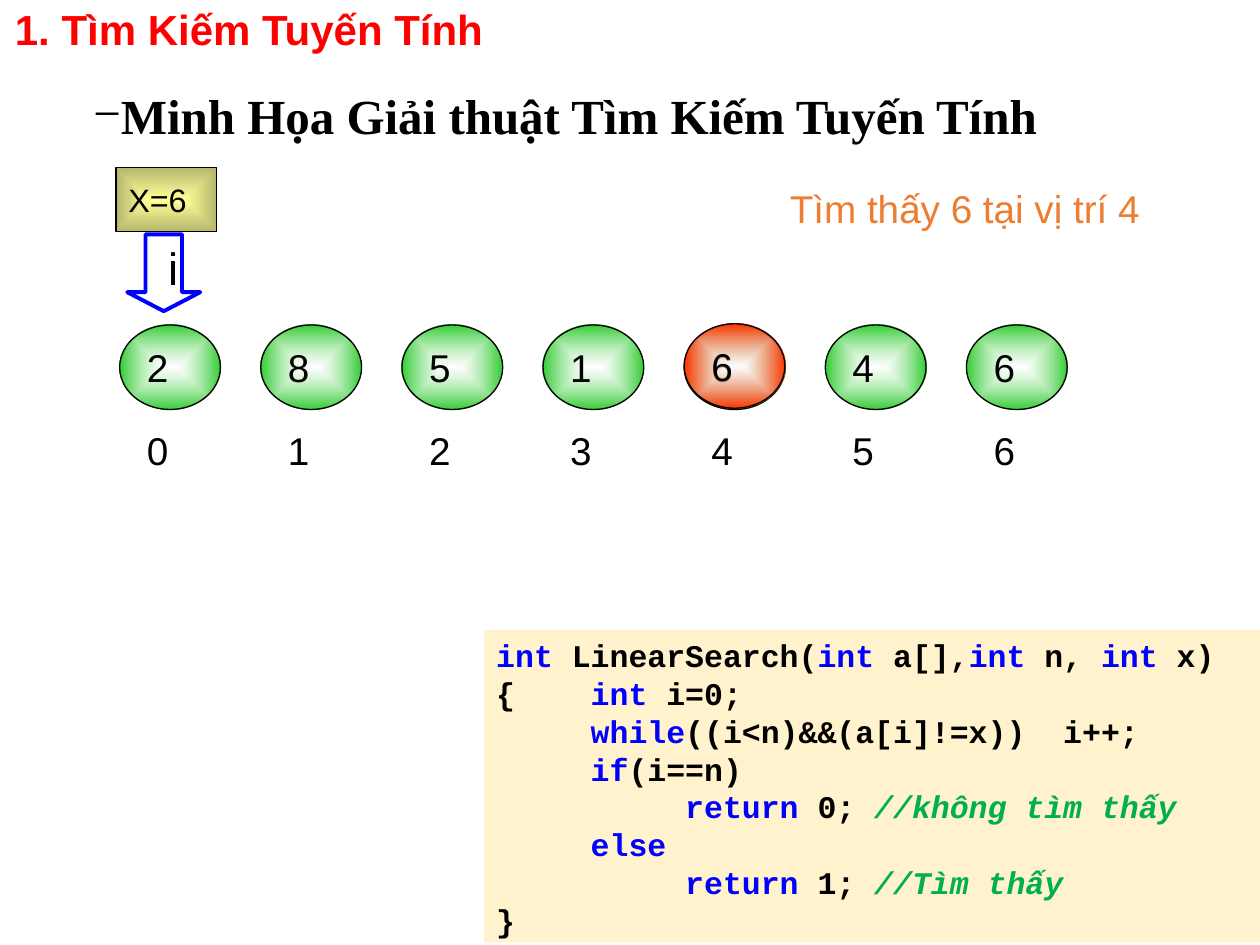
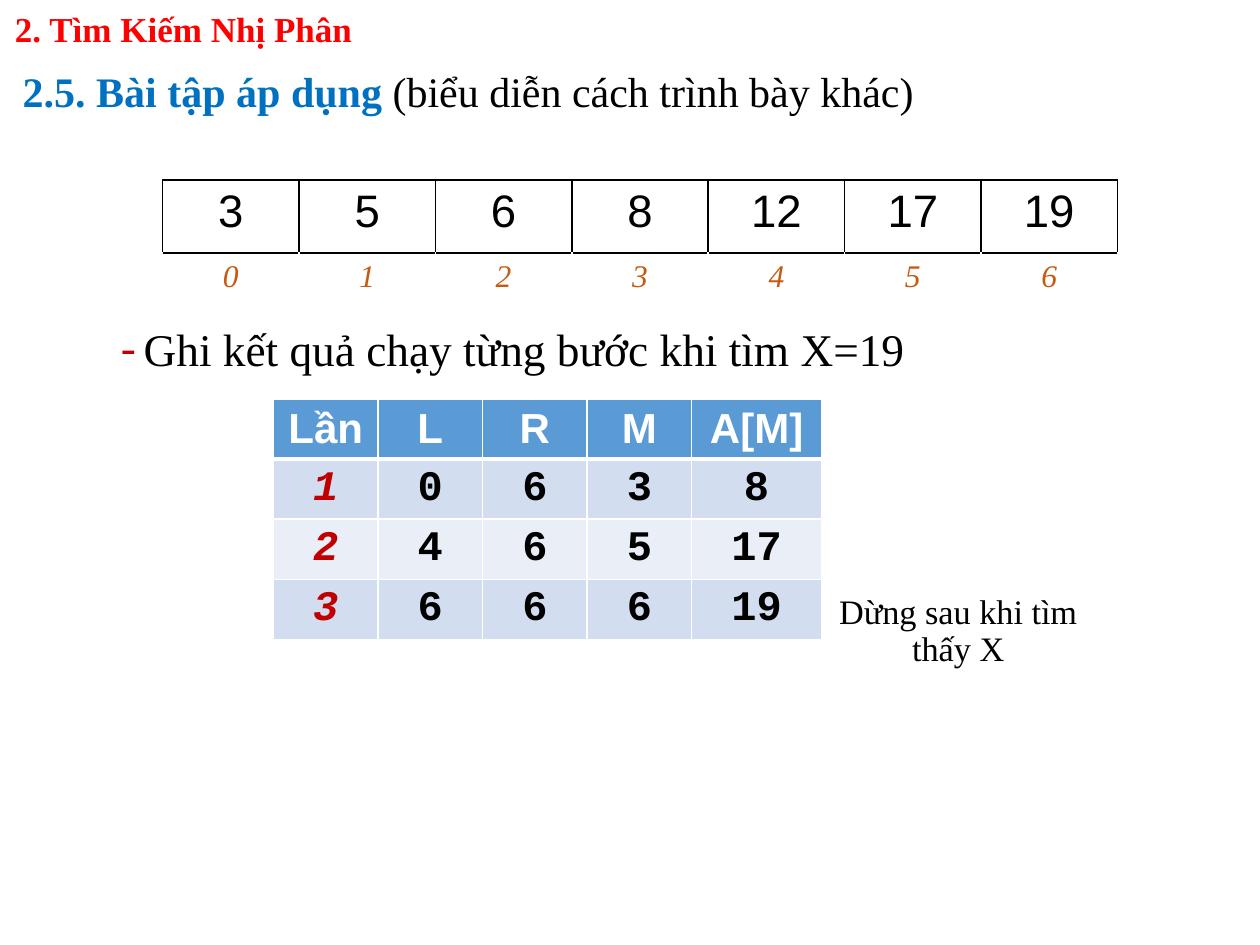
from dataclasses import dataclass

from lxml import etree
from pptx import Presentation
from pptx.dml.color import RGBColor
from pptx.enum.shapes import MSO_SHAPE
from pptx.enum.text import MSO_ANCHOR, MSO_AUTO_SIZE, PP_ALIGN
from pptx.oxml import parse_xml
from pptx.oxml.ns import nsdecls, qn
from pptx.util import Inches, Pt

ELLIPSE, RECTANGLE, DOWN_ARROW = MSO_SHAPE.OVAL, MSO_SHAPE.RECTANGLE, MSO_SHAPE.DOWN_ARROW
LEFT, CENTER, JUSTIFY = PP_ALIGN.LEFT, PP_ALIGN.CENTER, PP_ALIGN.JUSTIFY
TOP, MIDDLE = MSO_ANCHOR.TOP, MSO_ANCHOR.MIDDLE

BLACK = RGBColor(0x00, 0x00, 0x00)
WHITE = RGBColor(0xFF, 0xFF, 0xFF)
RED = RGBColor(0xFF, 0x00, 0x00)
DARK_RED = RGBColor(0xC0, 0x00, 0x00)
ORANGE = RGBColor(0xED, 0x7D, 0x31)
RUST = RGBColor(0xC5, 0x5A, 0x11)
KEYWORD_BLUE = RGBColor(0x00, 0x00, 0xFF)
TITLE_BLUE = RGBColor(0x00, 0x70, 0xC0)
COMMENT_GREEN = RGBColor(0x00, 0xB0, 0x50)
NODE_GREEN = RGBColor(0x33, 0xCC, 0x33)
FOUND_RED = RGBColor(0xFF, 0x33, 0x00)
KEY_YELLOW = RGBColor(0xFF, 0xFF, 0x99)
KEY_OLIVE = RGBColor(0xB6, 0xB6, 0x6D)
CODE_CREAM = RGBColor(0xFF, 0xF2, 0xCC)
HEADER_BLUE = RGBColor(0x5B, 0x9B, 0xD5)
BANDS = (RGBColor(0xD2, 0xDE, 0xEF), RGBColor(0xEA, 0xEF, 0xF7))

SANS, SERIF, MONO = "Arial", "Times New Roman", "Courier New"

# The slide is a grid of 100 columns by 75 rows.
SLIDE_WIDTH, SLIDE_HEIGHT = Inches(10), Inches(7.5)
COLUMN, ROW = SLIDE_WIDTH // 100, SLIDE_HEIGHT // 75
NODE_LEFT, NODE_STEP, NODE_WIDTH, NODE_HEIGHT = 9.5, 11.2, 8, 6.7
TAB_STEP, TAB_COUNT = 7.5, 6


@dataclass(frozen=True)
class Box:
    """A place on the slide grid."""
    column: float
    row: float
    columns: float
    rows: float

    def lengths(self) -> tuple[int, int, int, int]:
        return (round(self.column * COLUMN), round(self.row * ROW),
                round(self.columns * COLUMN), round(self.rows * ROW))


@dataclass(frozen=True)
class Style:
    size: float
    font: str = SANS
    color: RGBColor = BLACK
    bold: bool = False
    italic: bool = False


@dataclass(frozen=True)
class Piece:
    text: str
    style: Style


NODE_TEXT = Style(22.1)
CODE = Style(18, MONO, bold=True)
KEYWORD = Style(18, MONO, KEYWORD_BLUE, bold=True)
COMMENT = Style(18, MONO, COMMENT_GREEN, bold=True, italic=True)

NODE_VALUES = (2, 8, 5, 1, 6, 4, 6)
FOUND_POSITION = 4
CODE_LINES = (
    (Piece("int", KEYWORD), Piece(" LinearSearch(", CODE), Piece("int", KEYWORD),
     Piece(" a[],", CODE), Piece("int", KEYWORD), Piece(" n, ", CODE),
     Piece("int", KEYWORD), Piece(" x)", CODE)),
    (Piece("{\t", CODE), Piece("int", KEYWORD), Piece(" i=0;", CODE)),
    (Piece("\twhile", KEYWORD), Piece("((i<n)&&(a[i]!=x)) \ti++;", CODE)),
    (Piece("\tif", KEYWORD), Piece("(i==n)", CODE)),
    (Piece("\t\treturn", KEYWORD), Piece(" 0; ", CODE), Piece("//không tìm thấy", COMMENT)),
    (Piece("\telse", KEYWORD),),
    (Piece("\t\treturn", KEYWORD), Piece(" 1; ", CODE), Piece("//Tìm thấy", COMMENT)),
    (Piece("}", CODE),),
)
SORTED_VALUES = (3, 5, 6, 8, 12, 17, 19)
STEPS = (
    ("Lần", "L", "R", "M", "A[M]"),
    (1, 0, 6, 3, 8),
    (2, 4, 6, 5, 17),
    (3, 6, 6, 6, 19),
)


def write(paragraph, *pieces: Piece, align=LEFT, spacing=None, before=None) -> None:
    paragraph.alignment = align
    if spacing is not None:
        paragraph.line_spacing = spacing
    if before is not None:
        paragraph.space_before = Pt(before)
    for piece in pieces:
        run = paragraph.add_run()
        run.text = piece.text
        font = run.font
        font.size, font.name = Pt(piece.style.size), piece.style.font
        font.bold, font.italic = piece.style.bold, piece.style.italic
        font.color.rgb = piece.style.color


def prepare(text_frame, anchor=TOP, wrap: bool = True):
    """Fix the frame's size rules and return its first paragraph."""
    text_frame.auto_size = MSO_AUTO_SIZE.NONE
    text_frame.word_wrap = wrap
    text_frame.vertical_anchor = anchor
    return text_frame.paragraphs[0]


def place(shape, box: Box) -> None:
    shape.left, shape.top, shape.width, shape.height = box.lengths()


def set_bullet(paragraph, character: str, hang: float, color: RGBColor) -> None:
    properties = paragraph._p.get_or_add_pPr()
    properties.set("marL", str(Inches(hang)))
    properties.set("indent", str(-Inches(hang)))
    bullet_color = etree.SubElement(properties, qn("a:buClr"))
    etree.SubElement(bullet_color, qn("a:srgbClr"), val=str(color))
    etree.SubElement(properties, qn("a:buFont"), typeface=SERIF)
    etree.SubElement(properties, qn("a:buChar"), char=character)


def set_tabs(paragraph) -> None:
    tabs = etree.SubElement(paragraph._p.get_or_add_pPr(), qn("a:tabLst"))
    for number in range(1, TAB_COUNT + 1):
        position = round(number * TAB_STEP * COLUMN)
        etree.SubElement(tabs, qn("a:tab"), pos=str(position), algn="l")


def fill_from_center(shape, center: RGBColor, edge: RGBColor, opacity: int = 100) -> None:
    shape.fill.solid()
    properties = shape._element.spPr
    gradient = parse_xml(
        f'<a:gradFill {nsdecls("a")} rotWithShape="1"><a:gsLst>'
        f'<a:gs pos="0"><a:srgbClr val="{center}"><a:alpha val="{opacity * 1000}"/></a:srgbClr></a:gs>'
        f'<a:gs pos="100000"><a:srgbClr val="{edge}"/></a:gs></a:gsLst>'
        '<a:path path="shape"><a:fillToRect l="50000" t="50000" r="50000" b="50000"/></a:path>'
        '</a:gradFill>')
    properties.replace(properties.find(qn("a:solidFill")), gradient)


def add_figure(slide, kind, box: Box, line: RGBColor | None = None, width: float = 0.75):
    """Add an unfilled preset shape without a shadow."""
    shape = slide.shapes.add_shape(kind, *box.lengths())
    shape.shadow.inherit = False
    shape.fill.background()
    if line is None:
        shape.line.fill.background()
    else:
        shape.line.color.rgb = line
        shape.line.width = Pt(width)
    return shape


def add_node(slide, position: int, row: float, text: str, color: RGBColor | None = None) -> None:
    box = Box(NODE_LEFT + position * NODE_STEP, row, NODE_WIDTH, NODE_HEIGHT)
    node = add_figure(slide, ELLIPSE, box, BLACK if color else None)
    if color:
        fill_from_center(node, WHITE, color, 60)
    write(prepare(node.text_frame), Piece(text, NODE_TEXT))


def add_label(slide, box: Box, piece: Piece, anchor=TOP, **layout) -> None:
    label = slide.shapes.add_textbox(*box.lengths())
    write(prepare(label.text_frame, anchor), piece, **layout)


def add_section(slide, text: str, size: float, font: str) -> None:
    add_label(slide, Box(0.2, 0, 92.9, 5), Piece(text, Style(size, font, RED, bold=True)),
              MIDDLE, spacing=0.9)


def add_grid(slide, box: Box, row_heights: tuple, column_widths: tuple):
    table = slide.shapes.add_table(len(row_heights), len(column_widths), *box.lengths()).table
    table.first_row = table.horz_banding = False
    for row, height in zip(table.rows, row_heights):
        row.height = round(height * ROW)
    for column, width in zip(table.columns, column_widths):
        column.width = round(width * COLUMN)
    return table


def format_cell(cell, piece: Piece, borders: dict, line: RGBColor, fill: RGBColor | None = None) -> None:
    properties = cell._tc.get_or_add_tcPr()
    for side in "LRTB":
        if side in borders:
            border = etree.SubElement(properties, qn(f"a:ln{side}"), w=str(Pt(borders[side])))
            solid = etree.SubElement(border, qn("a:solidFill"))
            etree.SubElement(solid, qn("a:srgbClr"), val=str(line))
    if fill is None:
        cell.fill.background()
    else:
        cell.fill.solid()
        cell.fill.fore_color.rgb = fill
    write(cell.text_frame.paragraphs[0], piece, align=CENTER)


def add_sorted_array(slide) -> None:
    count = len(SORTED_VALUES)
    table = add_grid(slide, Box(12.9, 14.3, 75.8, 9.7), (5.8, 3.9), (75.8 / count,) * count)
    for position, value in enumerate(SORTED_VALUES):
        format_cell(table.cell(0, position), Piece(str(value), Style(26)),
                    dict.fromkeys("LRTB", 1), BLACK)
        format_cell(table.cell(1, position),
                    Piece(str(position), Style(18, SERIF, RUST, italic=True)), {"T": 1}, BLACK)


def add_steps(slide) -> None:
    table = add_grid(slide, Box(21.7, 31.7, 43.5, 16.4), (4.1,) * len(STEPS), (8.3,) * 4 + (10.3,))
    for row, values in enumerate(STEPS):
        borders = {"L": 1, "R": 1, "T": 3 if row == 1 else 1, "B": 3 if row == 0 else 1}
        for column, value in enumerate(values):
            if row == 0:
                style, fill = Style(24, SANS, WHITE, bold=True), HEADER_BLUE
            else:
                first = column == 0
                style = Style(24, MONO, DARK_RED if first else BLACK, bold=True, italic=first)
                fill = BANDS[(row - 1) % 2]
            format_cell(table.cell(row, column), Piece(str(value), style), borders, WHITE, fill)


def add_code(slide) -> None:
    panel = add_figure(slide, RECTANGLE, Box(38.4, 50, 61.6, 24.8))
    panel.fill.solid()
    panel.fill.fore_color.rgb = CODE_CREAM
    paragraph = prepare(panel.text_frame)
    for number, pieces in enumerate(CODE_LINES):
        if number:
            paragraph = panel.text_frame.add_paragraph()
        write(paragraph, *pieces)
        set_tabs(paragraph)


def build_linear_search(presentation) -> None:
    slide = presentation.slides.add_slide(presentation.slide_layouts[5])
    title = slide.shapes.title
    place(title, Box(6.4, 5, 92.9, 7.7))
    paragraph = prepare(title.text_frame, MIDDLE)
    write(paragraph, Piece("Minh Họa Giải thuật Tìm Kiếm Tuyến Tính", Style(28, SERIF, bold=True)),
          align=JUSTIFY, spacing=1.1, before=6)
    set_bullet(paragraph, "−", 0.22, BLACK)

    for position, value in enumerate(NODE_VALUES):
        add_node(slide, position, 32.4, str(position))
        add_node(slide, position, 25.8, str(value), NODE_GREEN)

    key = add_figure(slide, RECTANGLE, Box(9.2, 13.3, 8, 5.1), BLACK)
    fill_from_center(key, KEY_YELLOW, KEY_OLIVE)
    write(prepare(key.text_frame, MIDDLE, wrap=False), Piece("X=6", Style(18.5)))
    pointer = add_figure(slide, DOWN_ARROW, Box(10.1, 18.6, 5.8, 6.1), KEYWORD_BLUE, 2.25)
    pointer.adjustments[0], pointer.adjustments[1] = 0.5, 0.26
    pointer.text_frame.margin_left = Inches(0.18)
    write(prepare(pointer.text_frame), Piece("i", Style(25.9)))

    add_node(slide, FOUND_POSITION, 25.7, str(NODE_VALUES[FOUND_POSITION]), FOUND_RED)
    add_label(slide, Box(61.7, 14.2, 32.2, 4.7),
              Piece("Tìm thấy 6 tại vị trí 4", Style(22.1, color=ORANGE)))
    add_section(slide, "1. Tìm Kiếm Tuyến Tính", 24, SANS)
    add_code(slide)


def build_binary_search(presentation) -> None:
    slide = presentation.slides.add_slide(presentation.slide_layouts[1])
    title, body = slide.shapes.title, slide.placeholders[1]
    place(title, Box(0.8, 4.2, 86.2, 6))
    write(prepare(title.text_frame, MIDDLE),
          Piece("2.5. Bài tập áp dụng ", Style(24, SERIF, TITLE_BLUE, bold=True)),
          Piece("(biểu diễn cách trình bày khác)", Style(24, SERIF)))
    place(body, Box(8.6, 25, 81, 5.4))
    paragraph = prepare(body.text_frame)
    write(paragraph, Piece("Ghi kết quả chạy từng bước khi tìm X=19", Style(25.9, SERIF)),
          align=JUSTIFY, before=6)
    set_bullet(paragraph, "-", 0.18, DARK_RED)

    add_sorted_array(slide)
    add_section(slide, "2. Tìm Kiếm Nhị Phân", 20, SERIF)
    add_steps(slide)
    add_label(slide, Box(65.4, 46.7, 21.3, 7.1),
              Piece("Dừng sau khi tìm thấy X", Style(19.6, SERIF)),
              align=CENTER, spacing=0.9, before=6)


def main() -> None:
    presentation = Presentation()
    presentation.slide_width, presentation.slide_height = SLIDE_WIDTH, SLIDE_HEIGHT
    build_linear_search(presentation)
    build_binary_search(presentation)
    presentation.save("out.pptx")


if __name__ == "__main__":
    main()
